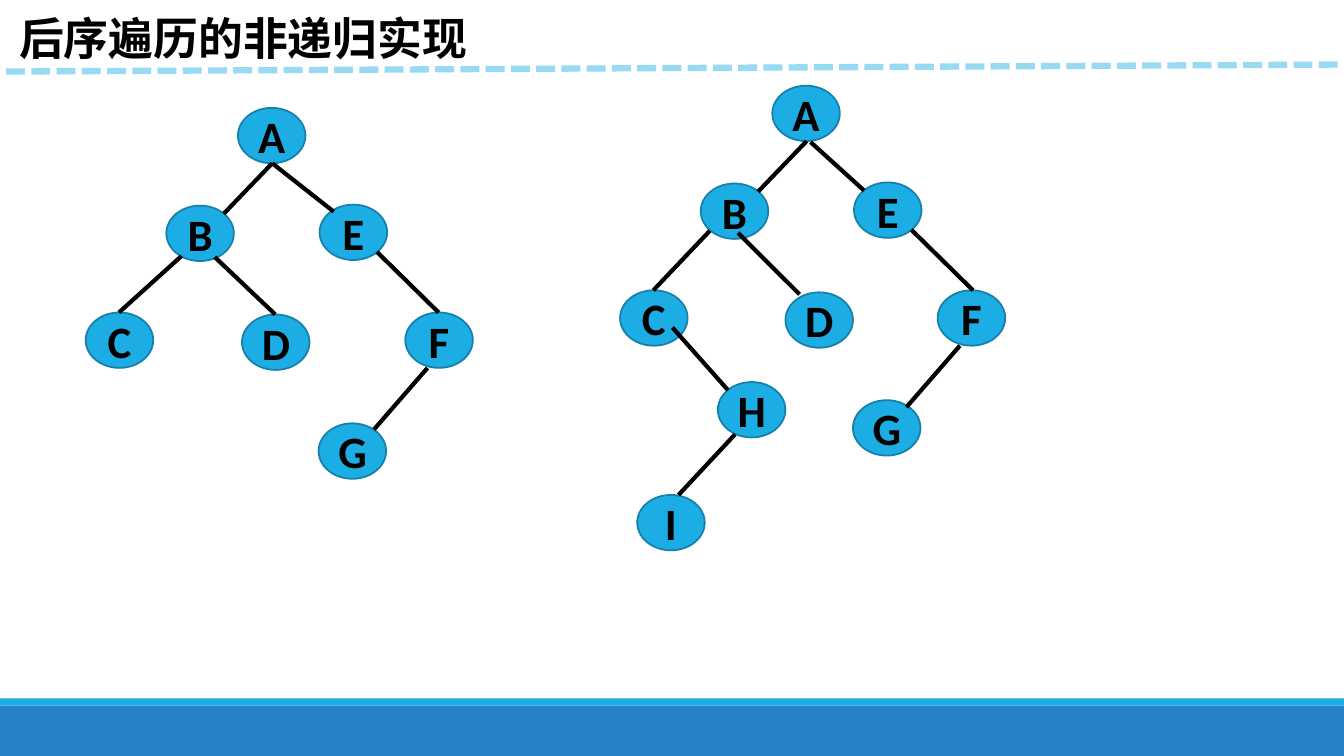
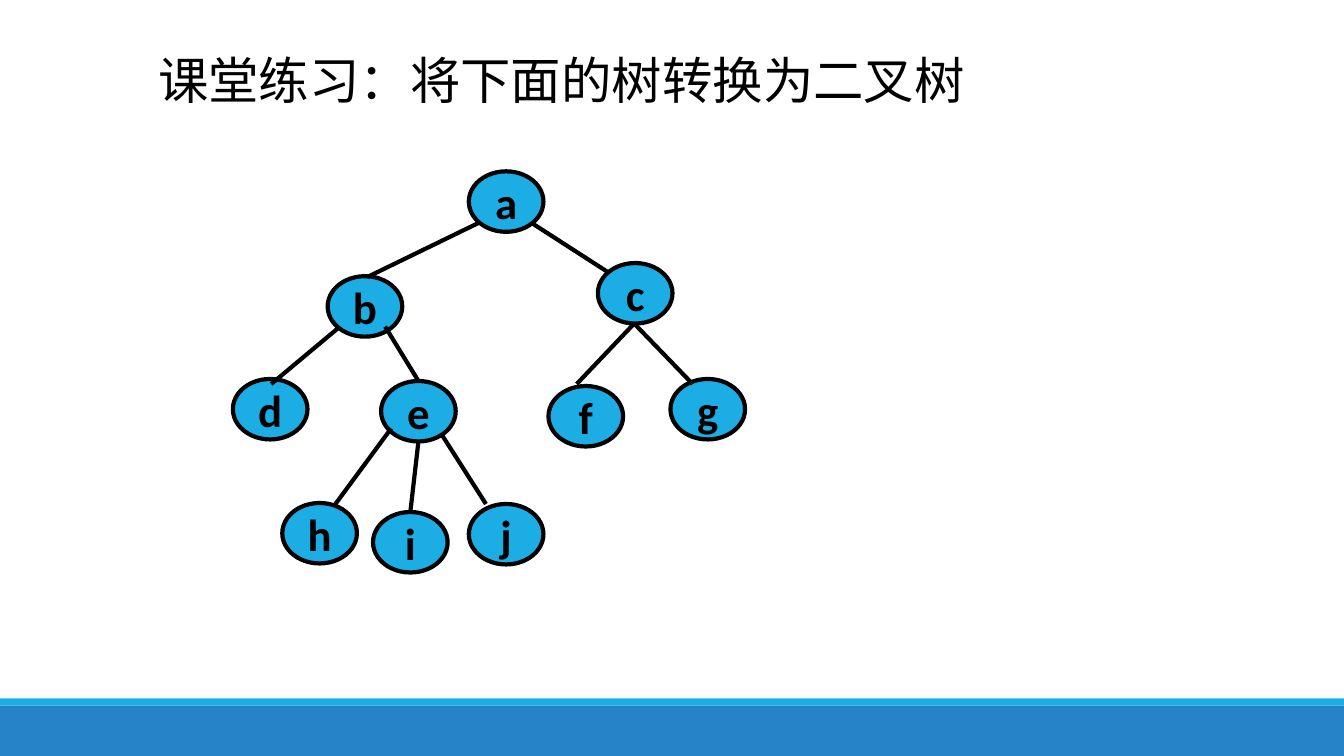
"""Build two slides of tree diagrams for a lesson on binary trees."""
from lxml.etree import SubElement
from pptx import Presentation
from pptx.dml.color import RGBColor
from pptx.enum.dml import MSO_LINE
from pptx.enum.shapes import MSO_CONNECTOR, MSO_SHAPE
from pptx.enum.text import MSO_ANCHOR, MSO_AUTO_SIZE, PP_ALIGN
from pptx.oxml.ns import qn
from pptx.util import Emu, Pt

PX = 9144
SLIDE_W, SLIDE_H = 1333, 750
COLORS = {
    "ink": "000000",
    "node": "1CADE4",
    "rim": "1580A9",
    "band": "2683C6",
    "rule": "99DAF3",
}
TITLE_FONT = "Noto Sans CJK SC"
NODE_FONT = "Calibri"

SMALL_NODE = {"size": (67, 55), "rim": "rim", "rim_pt": 1.25}
LARGE_NODE = {"size": (74, 60), "rim": "ink", "rim_pt": 3}

LEFT_TREE = {
    "nodes": {
        "A": (236, 107), "B": (165, 204), "E": (317, 203), "C": (85, 310),
        "D": (240, 312), "F": (402, 310), "G": (316, 420),
    },
    "branches": [
        (270, 162, 222, 212), (270, 162, 331, 210), (180, 254, 118, 310),
        (213, 255, 273, 312), (374, 250, 435, 310), (424, 365, 371, 426),
    ],
}
RIGHT_TREE = {
    "nodes": {
        "A": (766, 85), "B": (695, 182), "E": (847, 181), "C": (615, 288),
        "D": (779, 290), "F": (930, 288), "G": (846, 397), "H": (712, 379),
        "I": (632, 491),
    },
    "branches": [
        (800, 140, 752, 190), (804, 141, 857, 189), (704, 229, 648, 288),
        (732, 231, 793, 292), (904, 228, 965, 288), (952, 343, 899, 404),
        (667, 325, 722, 387), (729, 431, 673, 491),
    ],
}
EXERCISE_TREE = {
    "nodes": {
        "a": (465, 170), "b": (325, 274), "c": (593, 261), "d": (231, 376),
        "e": (378, 378), "f": (544, 383), "g": (665, 376), "h": (280, 499),
        "i": (370, 508), "j": (465, 500),
    },
    "branches": [
        (475, 221, 364, 275), (527, 221, 603, 270), (336, 325, 269, 381),
        (382, 324, 415, 378), (629, 321, 572, 381), (629, 321, 687, 381),
        (388, 425, 332, 501), (415, 438, 407, 508), (438, 431, 482, 500),
    ],
}


def px(*lengths):
    """Turn pixel lengths into EMU."""
    return [Emu(length * PX) for length in lengths]


def rgb(color):
    """Look up a named colour."""
    return RGBColor.from_string(COLORS[color])


def add_text(frame, text, font_name, size, bold):
    """Write one run into the first paragraph of a frame."""
    paragraph = frame.paragraphs[0]
    run = paragraph.add_run()
    run.text = text
    run.font.name = font_name
    run.font.size = Pt(size)
    run.font.bold = bold
    run.font.color.rgb = rgb("ink")
    SubElement(run.font._element, qn("a:ea")).set("typeface", font_name)
    return paragraph


def add_filled(slide, kind, box, fill):
    """Add a flat filled shape."""
    shape = slide.shapes.add_shape(kind, *px(*box))
    shape.shadow.inherit = False
    shape.fill.solid()
    shape.fill.fore_color.rgb = rgb(fill)
    return shape


def add_bands(slide):
    """Draw the two bands at the foot of a slide."""
    for top, height, fill in ((700, 50, "band"), (693, 7, "node")):
        band = add_filled(slide, MSO_SHAPE.RECTANGLE, (0, top, SLIDE_W, height), fill)
        band.line.fill.background()


def add_title(slide, text, box, size, bold=False):
    """Add the slide title."""
    title = slide.shapes.add_textbox(*px(*box))
    title.text_frame.word_wrap = True
    title.text_frame.auto_size = MSO_AUTO_SIZE.SHAPE_TO_FIT_TEXT
    add_text(title.text_frame, text, TITLE_FONT, size, bold)


def add_line(slide, ends, color, weight, dash=None):
    """Draw a straight line between two points."""
    line = slide.shapes.add_connector(MSO_CONNECTOR.STRAIGHT, *px(*ends))
    line.line.color.rgb = rgb(color)
    line.line.width = Pt(weight)
    if dash is not None:
        line.line.dash_style = dash
    SubElement(line._element.spPr, qn("a:effectLst"))


def add_node(slide, label, corner, style):
    """Draw one labelled tree node."""
    node = add_filled(slide, MSO_SHAPE.OVAL, (*corner, *style["size"]), "node")
    node.line.color.rgb = rgb(style["rim"])
    node.line.width = Pt(style["rim_pt"])
    node.text_frame.vertical_anchor = MSO_ANCHOR.MIDDLE
    paragraph = add_text(node.text_frame, label, NODE_FONT, 32, True)
    paragraph.alignment = PP_ALIGN.CENTER


def add_tree(slide, tree, style):
    """Draw the nodes of a tree and then its branches."""
    for label, corner in tree["nodes"].items():
        add_node(slide, label, corner, style)
    for ends in tree["branches"]:
        add_line(slide, ends, "ink", 3)


def add_slide(deck):
    """Start a blank slide with the shared bands."""
    slide = deck.slides.add_slide(deck.slide_layouts[6])
    add_bands(slide)
    return slide


def main():
    """Build and save the deck."""
    deck = Presentation()
    deck.slide_width, deck.slide_height = px(SLIDE_W, SLIDE_H)

    traversal = add_slide(deck)
    add_title(traversal, "后序遍历的非递归实现", (9, 6, 768, 64), 32, bold=True)
    add_line(traversal, (6, 71, 1340, 64), "rule", 4.5, MSO_LINE.SQUARE_DOT)
    for tree in (RIGHT_TREE, LEFT_TREE):
        add_tree(traversal, tree, SMALL_NODE)

    exercise = add_slide(deck)
    add_title(exercise, "课堂练习：将下面的树转换为二叉树", (147, 44, 900, 71), 36)
    add_tree(exercise, EXERCISE_TREE, LARGE_NODE)

    deck.save("out.pptx")


if __name__ == "__main__":
    main()
